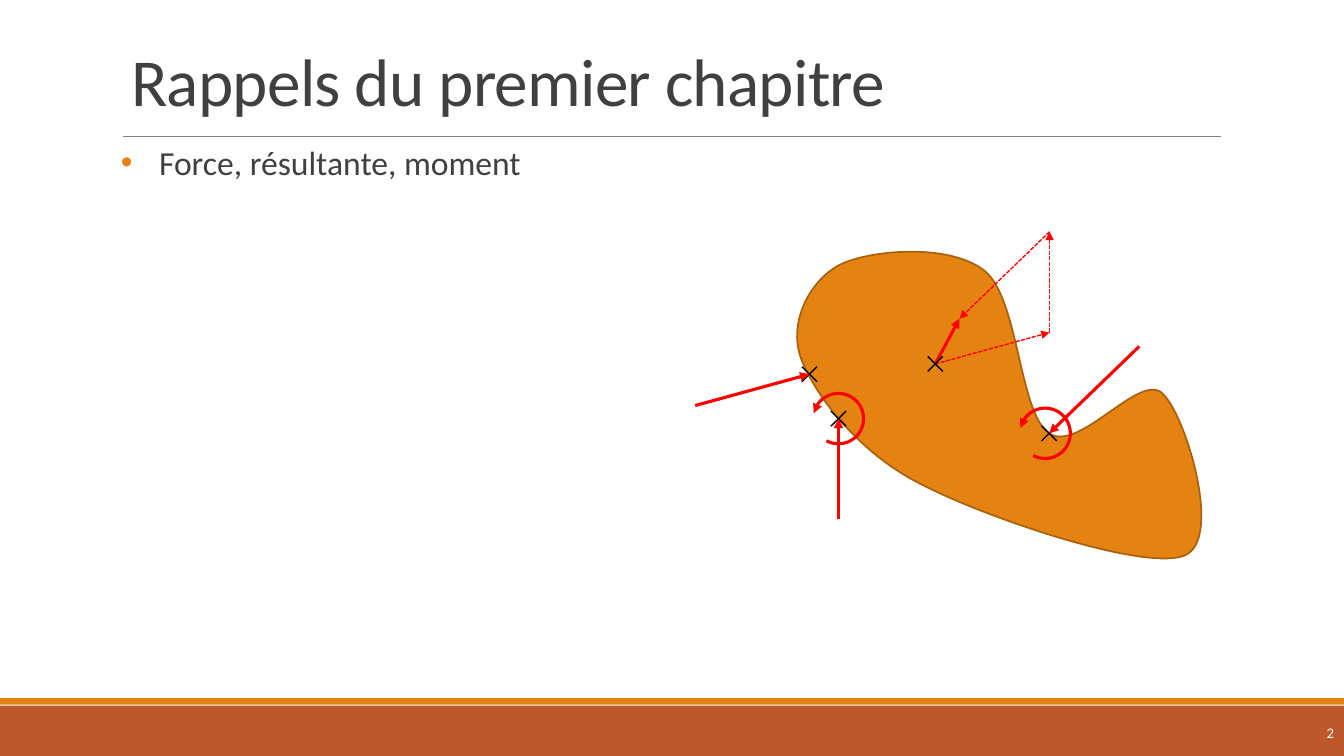
import pptx
import pptx.dml.color
import pptx.enum.dml
import pptx.enum.shapes
import pptx.enum.text
import pptx.oxml
import pptx.oxml.ns
import pptx.util

Cm, Pt = pptx.util.Cm, pptx.util.Pt
SHAPE = pptx.enum.shapes.MSO_SHAPE
ALIGN = pptx.enum.text.PP_ALIGN
ANCHOR = pptx.enum.text.MSO_ANCHOR
DASH = pptx.enum.dml.MSO_LINE.SQUARE_DOT

COLORS = {"text": "404040", "orange": "E48312", "brown": "BD582C", "outline": "A9610D",
          "rule": "808080", "force": "FF0000", "mark": "000000", "white": "FFFFFF"}
SLIDE_W, SLIDE_H = 33.87, 19.05

# Solid outline in cm from the diagram corner: a start, then cubic curves
SOLID_BOX = (2.59, 0.51, 10.19, 7.72)
SOLID_START = (2.69, 3.2)
SOLID_CURVES = [
    ((2.34, 2.26), (2.95, 1.17), (3.71, 0.81)),
    ((4.47, 0.46), (6.43, 0.28), (7.32, 0.99)),
    ((8.18, 1.7), (8.18, 4.57), (8.94, 5.08)),
    ((9.68, 5.59), (11.23, 3.53), (11.79, 4.07)),
    ((12.37, 4.57), (13.34, 7.77), (12.35, 8.16)),
    ((11.33, 8.56), (7.39, 7.22), (5.79, 6.4)),
    ((4.17, 5.62), (3.05, 4.14), SOLID_START),
]
# Point of application and vector of each force
FORCES = [((2.9, 3.59), (2.88, -0.79)),
          ((3.63, 4.71), (0, -2.54)),
          ((8.94, 5.08), (-2.27, 2.19))]
RESULTANT_POINT = (6.07, 3.33)
MOMENT_CENTERS = [(8.84, 5.08), (3.63, 4.71)]


def rgb(name):
    return pptx.dml.color.RGBColor.from_string(COLORS[name])


def xml(tag, attrs=""):
    return pptx.oxml.parse_xml(f"<a:{tag} {pptx.oxml.ns.nsdecls('a')} {attrs}/>")


def add_run(p, text, size, color):
    r = p.add_run()
    r.text = text
    r.font.name, r.font.size = "Calibri", Pt(size)
    r.font.color.rgb = rgb(color)
    return r


def style_line(s, color, width):
    s.line.color.rgb = rgb(color)
    s.line.width = Pt(width)


def add_line(shapes, start, end, color, width, dashed=False, arrow=False):
    s = shapes.add_connector(pptx.enum.shapes.MSO_CONNECTOR.STRAIGHT,
                             *(Cm(v) for v in (*start, *end)))
    style_line(s, color, width)
    if dashed:
        s.line.dash_style = DASH
    if arrow:
        s.line._get_or_add_ln().append(xml("tailEnd", 'type="triangle"'))
    s._element.spPr.append(xml("effectLst"))


def add_cross(shapes, center, half=0.19):
    x, y = center
    for dy in (half, -half):
        add_line(shapes, (x - half, y - dy), (x + half, y + dy), "mark", 1)


def add_solid(shapes, place):
    """Build the outline through its knots, then bend each side into a cubic curve."""
    knots = [tuple(map(Cm, place(curve[-1]))) for curve in SOLID_CURVES]
    builder = shapes.build_freeform(*knots[-1])
    builder.add_line_segments(knots, close=True)
    s = builder.convert_to_shape()
    left, top, width, height = SOLID_BOX
    s.left, s.top = map(Cm, place((left, top)))
    s.width, s.height = Cm(width), Cm(height)

    def point(x, y):
        return xml("pt", f'x="{int(Cm(x - left))}" y="{int(Cm(y - top))}"')

    outline = next(s._element.iter(pptx.oxml.ns.qn("a:path")))
    outline.set("w", str(int(s.width)))
    outline.set("h", str(int(s.height)))
    for child in list(outline):
        outline.remove(child)
    move = xml("moveTo")
    move.append(point(*SOLID_START))
    outline.append(move)
    for curve in SOLID_CURVES:
        bend = xml("cubicBezTo")
        bend.extend([point(x, y) for x, y in curve])
        outline.append(bend)
    outline.append(xml("close"))

    s.shadow.inherit = False
    s.fill.solid()
    s.fill.fore_color.rgb = rgb("orange")
    style_line(s, "outline", 1.25)


def add_resultant(shapes, origin):
    """Chain the forces head to tail, then close the polygon."""
    start = origin
    for _, (dx, dy) in FORCES:
        end = (start[0] + dx, start[1] + dy)
        add_line(shapes, start, end, "force", 1, dashed=True, arrow=True)
        start = end
    add_line(shapes, origin, start, "force", 2.25, arrow=True)
    add_cross(shapes, origin)


def add_moment(shapes, center, size=1.27):
    x, y = center
    s = shapes.add_shape(SHAPE.ARC, Cm(x - size / 2), Cm(y - size / 2), Cm(size), Cm(size))
    s.adjustments[0], s.adjustments[1] = 115.32, 70.99
    s.shadow.inherit = False
    s.fill.background()
    style_line(s, "force", 2.25)
    s.line._get_or_add_ln().append(xml("headEnd", 'type="triangle"'))


def add_diagram(shapes, left, top):
    def place(point):
        return left + point[0], top + point[1]

    add_solid(shapes, place)
    for point, _ in FORCES:
        add_cross(shapes.add_group_shape().shapes, place(point))
    add_resultant(shapes.add_group_shape().shapes, place(RESULTANT_POINT))
    arrows = shapes.add_group_shape().shapes
    for point, (dx, dy) in FORCES:
        x, y = place(point)
        add_line(arrows, (x - dx, y - dy), (x, y), "force", 2.25, arrow=True)
    arcs = shapes.add_group_shape().shapes
    for center in MOMENT_CENTERS:
        add_moment(arcs, place(center))


def add_footer(shapes, left, top, width, height, number):
    band = 1.27
    for y, h, color in ((top + height - band, band, "brown"), (top, 0.17, "orange")):
        s = shapes.add_shape(SHAPE.RECTANGLE, Cm(left), Cm(y), Cm(width), Cm(h))
        s.shadow.inherit = False
        s.fill.solid()
        s.fill.fore_color.rgb = rgb(color)
        s.line.fill.background()
    box_w = 3.63
    tb = shapes.add_textbox(Cm(left + width - box_w), Cm(top + 0.35), Cm(box_w), Cm(1.02))
    tf = tb.text_frame
    tf.word_wrap = True
    tf.vertical_anchor = ANCHOR.MIDDLE
    p = tf.paragraphs[0]
    p.alignment = ALIGN.RIGHT
    add_run(p, number, 10.5, "white")


def add_heading(shapes, left, top, width, height, text):
    title = shapes.title
    title.left, title.top, title.width, title.height = map(Cm, (left, top, width, height))
    tf = title.text_frame
    tf.word_wrap = True
    tf.auto_size = pptx.enum.text.MSO_AUTO_SIZE.NONE
    tf.vertical_anchor = ANCHOR.BOTTOM
    p = tf.paragraphs[0]
    p.alignment = ALIGN.LEFT
    p.line_spacing = 0.85
    r = add_run(p, text, 48, "text")
    r._r.get_or_add_rPr().set("spc", "-50")
    y = top + height + 0.29
    add_line(shapes, (left + 0.05, y), (left + 27.73, y), "rule", 0.5)


def add_body(shapes, left, top, width, height, text):
    tf = shapes.add_textbox(*map(Cm, (left, top, width, height))).text_frame
    tf.word_wrap = True
    tf.margin_left = tf.margin_right = 0
    p = tf.paragraphs[0]
    p.alignment = ALIGN.JUSTIFY
    p.line_spacing = 0.9
    p.space_after = Pt(2)
    pPr = p._p.get_or_add_pPr()
    indent = int(Cm(0.96))
    pPr.set("marL", str(indent))
    pPr.set("indent", str(-indent))
    bullet_color = xml("buClr")
    bullet_color.append(xml("srgbClr", f'val="{COLORS["orange"]}"'))
    pPr.append(bullet_color)
    pPr.append(xml("buFont", 'typeface="Arial"'))
    pPr.append(xml("buChar", 'char="•"'))
    add_run(p, text, 24, "text")


def main():
    prs = pptx.Presentation()
    prs.slide_width, prs.slide_height = Cm(SLIDE_W), Cm(SLIDE_H)
    shapes = prs.slides.add_slide(prs.slide_layouts[5]).shapes
    add_footer(shapes, 0, 17.59, SLIDE_W, SLIDE_H - 17.59, "2")
    add_heading(shapes, 3.05, 0.79, 27.94, 2.36, "Rappels du premier chapitre")
    add_body(shapes, 3.05, 3.56, 27.61, 11.71, "Force, résultante, moment")
    add_diagram(shapes, 17.5, 5.84)
    prs.save("out.pptx")


if __name__ == "__main__":
    main()
